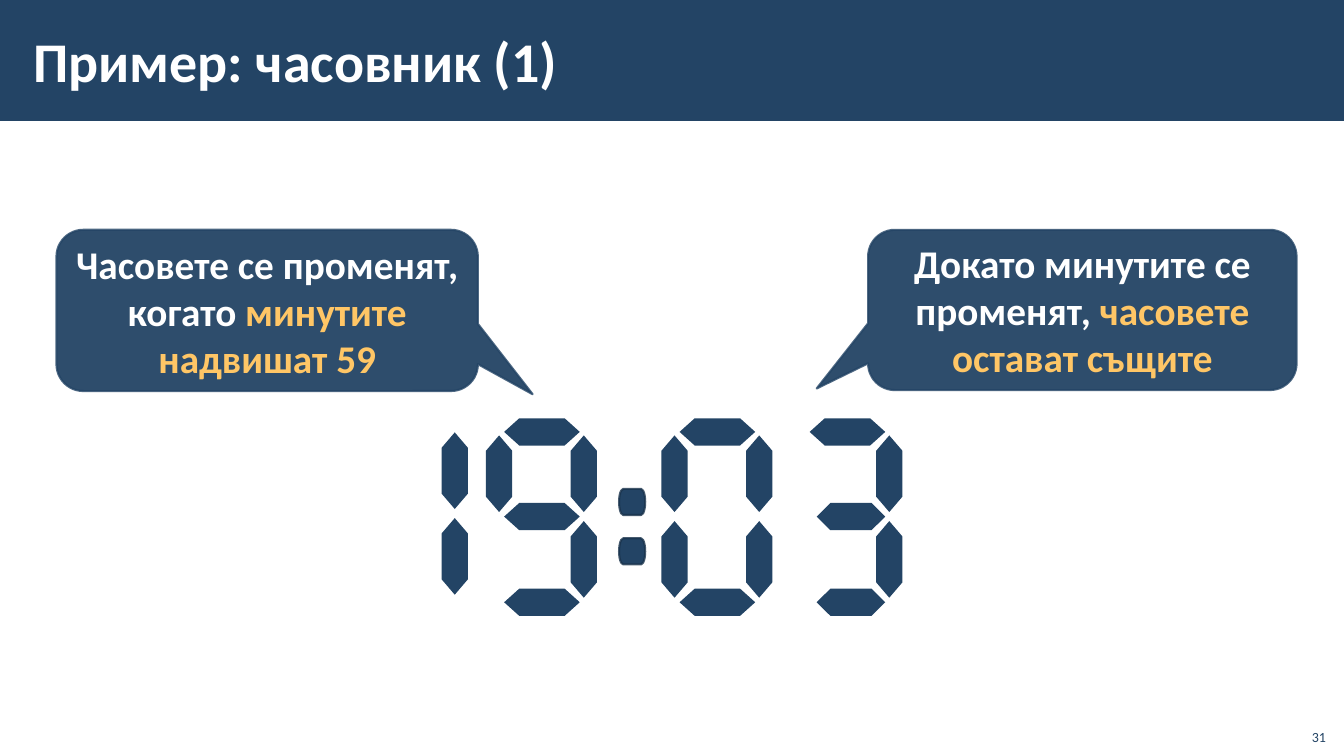
from lxml.etree import SubElement
from pptx import Presentation
from pptx.dml.color import RGBColor
from pptx.enum.shapes import MSO_SHAPE
from pptx.enum.text import MSO_ANCHOR, PP_ALIGN
from pptx.oxml.ns import qn
from pptx.util import Inches, Pt

NAVY = RGBColor(0x23, 0x44, 0x65)
DARK_NAVY = RGBColor(0x1A, 0x33, 0x4C)
GOLD = RGBColor(0xFF, 0xC6, 0x66)
WHITE = RGBColor(0xFF, 0xFF, 0xFF)

HORIZONTAL_TOPS = {"top": 4.15, "middle": 4.99, "bottom": 5.84}
VERTICAL_CENTERS = {
    "upper left": (-0.05, 4.7),
    "upper right": (0.79, 4.7),
    "lower left": (-0.05, 5.55),
    "lower right": (0.79, 5.55),
}
SEGMENTS = {
    "0": ["top", "bottom", "upper left", "upper right", "lower left", "lower right"],
    "1": ["upper right", "lower right"],
    "3": ["top", "middle", "bottom", "upper right", "lower right"],
    "9": ["top", "middle", "bottom", "upper left", "upper right", "lower right"],
}


class ClockSlide:
    """Draws the elements of the clock slide in one shared style."""

    font_name = "Calibri"

    def __init__(self, deck):
        self.page = deck.slides.add_slide(deck.slide_layouts[6])

    def shape(self, kind, left, top, width, height):
        shape = self.page.shapes.add_shape(
            kind, Inches(left), Inches(top), Inches(width), Inches(height))
        shape.shadow.inherit = False
        shape.fill.solid()
        shape.fill.fore_color.rgb = NAVY
        shape.line.fill.background()
        return shape

    def outline(self, shape, color):
        shape.line.color.rgb = color
        shape.line.width = Pt(1.5)
        self.set_opacity(shape._element.spPr.find(qn("a:ln")), 80)

    def set_opacity(self, parent, percent):
        color = parent.find(qn("a:solidFill"))[0]
        SubElement(color, qn("a:alpha"), val=str(percent * 1000))

    def set_text(self, frame, spans, size, align, anchor, bold=True):
        frame.word_wrap = True
        frame.vertical_anchor = anchor
        para = frame.paragraphs[0]
        para.alignment = align
        para.font.name = self.font_name
        para.font.size = Pt(size)
        para.font.bold = bold
        for text, color in spans:
            span = para.add_run()
            span.text = text
            span.font.color.rgb = color

    def text(self, left, top, width, height, content, color, size, align, anchor, bold,
             margins=(0.1, 0.05)):
        box = self.page.shapes.add_textbox(
            Inches(left), Inches(top), Inches(width), Inches(height))
        frame = box.text_frame
        frame.margin_left = frame.margin_right = Inches(margins[0])
        frame.margin_top = frame.margin_bottom = Inches(margins[1])
        self.set_text(frame, [(content, color)], size, align, anchor, bold)

    def callout(self, left, top, width, height, tip, spans):
        shape = self.shape(MSO_SHAPE.ROUNDED_RECTANGULAR_CALLOUT, left, top, width, height)
        shape.adjustments[0], shape.adjustments[1] = tip
        self.set_opacity(shape._element.spPr, 95)
        self.outline(shape, NAVY)
        self.set_text(shape.text_frame, spans, 28, PP_ALIGN.CENTER, MSO_ANCHOR.MIDDLE)

    def digit(self, value, left, rise=0, trim=0):
        for name in SEGMENTS[value]:
            if name in HORIZONTAL_TOPS:
                cut = 0 if name == "top" else trim
                self.shape(MSO_SHAPE.FLOWCHART_PREPARATION, left + cut,
                           HORIZONTAL_TOPS[name], 0.75 - cut, 0.27)
            else:
                offset, center = VERTICAL_CENTERS[name]
                segment = self.shape(MSO_SHAPE.FLOWCHART_PREPARATION, left + offset - 0.38,
                                     center - rise - 0.13, 0.76, 0.26)
                segment.rotation = 90

    def colon(self, left, tops):
        for top in tops:
            dot = self.shape(MSO_SHAPE.FLOWCHART_TERMINATOR, left, top, 0.26, 0.26)
            self.outline(dot, DARK_NAVY)


def main():
    deck = Presentation()
    deck.slide_width = Inches(13.33)
    deck.slide_height = Inches(7.5)
    slide = ClockSlide(deck)

    slide.shape(MSO_SHAPE.RECTANGLE, 0, 0, 13.33, 1.2)
    slide.text(0.21, 0.11, 10.63, 0.97, "Пример: часовник (1)", WHITE, 40,
               PP_ALIGN.LEFT, MSO_ANCHOR.MIDDLE, True, (0.12, 0.04))

    slide.digit("1", 3.72, rise=0.03)
    slide.digit("9", 5)
    slide.colon(6.14, (4.85, 5.34))
    slide.digit("0", 6.74)
    slide.digit("3", 8.03, trim=0.07)

    slide.callout(0.56, 2.28, 4.18, 1.6, (0.63, 0.52), [
        ("Часовете се променят, когато ", WHITE), ("минутите надвишат 59", GOLD)])
    slide.callout(8.61, 2.28, 4.25, 1.59, (-0.62, 0.49), [
        ("Докато минутите се променят, ", WHITE), ("часовете остават същите", GOLD)])

    slide.text(12.85, 7.12, 0.4, 0.32, "31", NAVY, 10,
               PP_ALIGN.RIGHT, MSO_ANCHOR.BOTTOM, False)
    deck.save("out.pptx")


if __name__ == "__main__":
    main()
